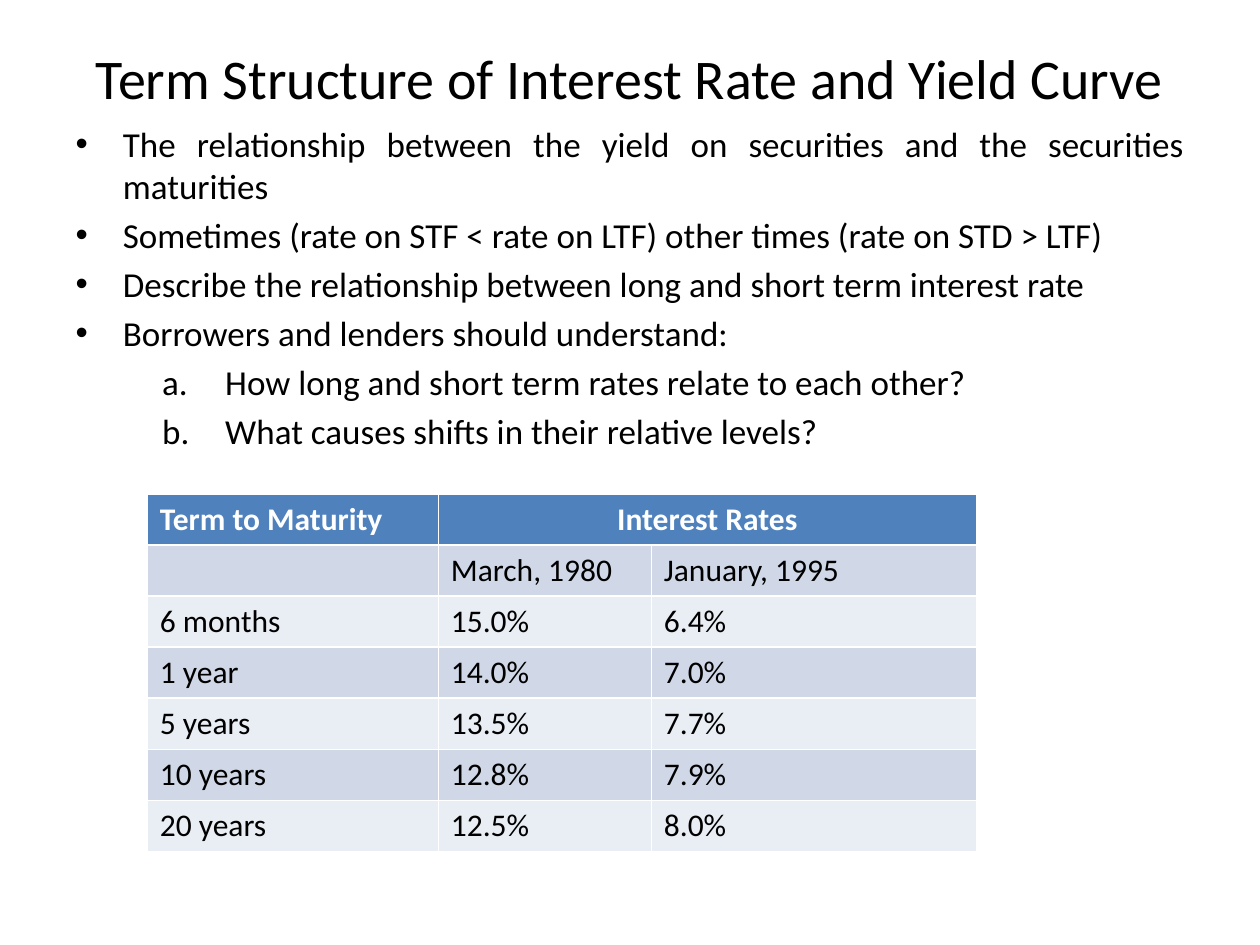
from dataclasses import dataclass

from lxml.etree import Element
from pptx import Presentation
from pptx.dml.color import RGBColor
from pptx.enum.text import MSO_ANCHOR, MSO_AUTO_SIZE, PP_ALIGN
from pptx.oxml.ns import qn
from pptx.util import Pt


@dataclass(frozen=True)
class Theme:
    font: str = "Calibri"
    title_size: int = 32
    body_size: int = 20
    table_size: int = 18
    ink: str = "000000"
    header_ink: str = "FFFFFF"
    header_fill: str = "4F81BD"
    bands: tuple = ("E9EDF4", "D0D8E8")


class Deck:
    """Holds the theme and the current slide, and adds elements to it."""

    def __init__(self, theme, width, height):
        self.theme = theme
        self.prs = Presentation()
        self.prs.slide_width, self.prs.slide_height = Pt(width), Pt(height)
        self.s = self.prs.slides.add_slide(self.prs.slide_layouts[1])

    def place(self, sp, left, top, width, height):
        sp.left, sp.top, sp.width, sp.height = map(Pt, (left, top, width, height))
        tf = sp.text_frame
        tf.word_wrap = True
        tf.auto_size = MSO_AUTO_SIZE.NONE
        return tf

    def style_text(self, p, text, size, color, align, bold=False):
        p.text = text
        p.alignment = align
        p.font.name, p.font.size, p.font.bold = self.theme.font, Pt(size), bold
        p.font.color.rgb = RGBColor.from_string(color)

    def title(self, text, *box):
        tf = self.place(self.s.shapes.title, *box)
        tf.vertical_anchor = MSO_ANCHOR.MIDDLE
        self.style_text(tf.paragraphs[0], text, self.theme.title_size,
                        self.theme.ink, PP_ALIGN.CENTER)

    def bullet(self, p, tag, margin, indent, **attrs):
        pPr = p._p.get_or_add_pPr()
        pPr.set("marL", str(Pt(margin)))
        pPr.set("indent", str(Pt(indent)))
        pPr.insert(0, Element(qn(tag), attrs))

    def body(self, bullets, questions, *box):
        tf = self.place(self.s.placeholders[1], *box)
        for i, text in enumerate(bullets + questions):
            p = tf.paragraphs[0] if i == 0 else tf.add_paragraph()
            self.style_text(p, text, self.theme.body_size, self.theme.ink, PP_ALIGN.JUSTIFY)
            if i < len(bullets):
                self.bullet(p, "a:buChar", 27, -27, char="•")
            else:
                self.bullet(p, "a:buAutoNum", 85.5, -36, type="alphaLcPeriod")

    def table(self, rows, left, top, widths, row_height):
        t = self.theme
        frame = self.s.shapes.add_table(
            len(rows), len(widths), Pt(left), Pt(top),
            Pt(sum(widths)), Pt(row_height * len(rows)))
        table = frame.table
        for column, width in zip(table.columns, widths):
            column.width = Pt(width)
        table.cell(0, 1).merge(table.cell(0, 2))
        for i, row in enumerate(rows):
            header = i == 0
            for j, text in enumerate(row):
                cell = table.cell(i, j)
                cell.fill.solid()
                cell.fill.fore_color.rgb = RGBColor.from_string(
                    t.header_fill if header else t.bands[i % 2])
                self.style_text(cell.text_frame.paragraphs[0], text, t.table_size,
                                t.header_ink if header else t.ink,
                                PP_ALIGN.CENTER if cell.is_merge_origin else PP_ALIGN.LEFT,
                                bold=header)


def main():
    deck = Deck(Theme(), 720, 540)
    deck.title("Term Structure of Interest Rate and Yield Curve", 36, 21.6, 648, 44.6)
    deck.body(
        ["The relationship between the yield on securities and the securities maturities",
         "Sometimes (rate on STF < rate on LTF) other times (rate on STD > LTF)",
         "Describe the relationship between long and short term interest rate",
         "Borrowers and lenders should understand:"],
        ["How long and short term rates relate to each other?",
         "What causes shifts in their relative levels?"],
        36, 66.2, 648, 444.2)
    deck.table(
        [("Term to Maturity", "Interest Rates", ""),
         ("", "March, 1980", "January, 1995"),
         ("6 months", "15.0%", "6.4%"),
         ("1 year", "14.0%", "7.0%"),
         ("5 years", "13.5%", "7.7%"),
         ("10 years", "12.8%", "7.9%"),
         ("20 years", "12.5%", "8.0%")],
        84.2, 282.2, (166.3, 121.7, 185.8), 29.2)
    deck.prs.save("out.pptx")


if __name__ == "__main__":
    main()
